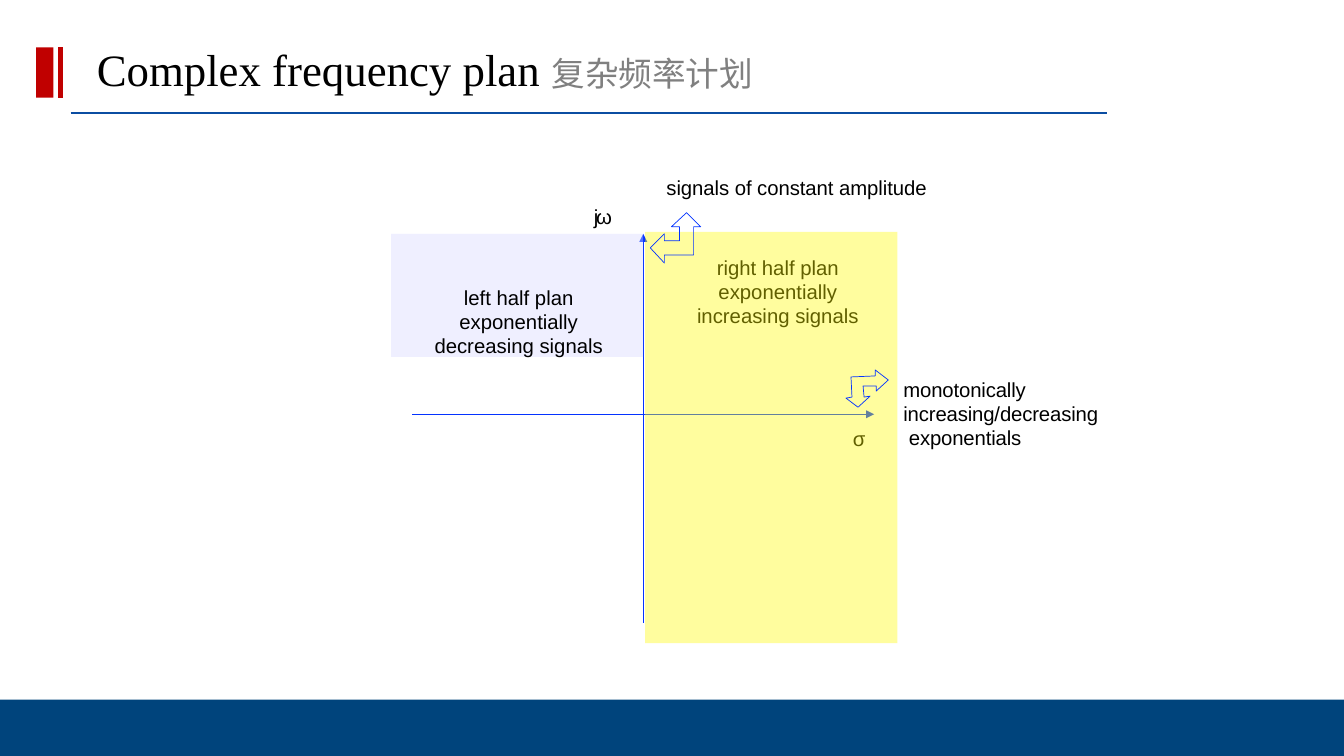
import pptx
import pptx.dml.color
import pptx.enum.shapes
import pptx.enum.text
import pptx.oxml.ns
import pptx.util
from dataclasses import dataclass
from lxml import etree

SCALE = 9144
ANCHOR = pptx.enum.text.MSO_ANCHOR
ALIGN = pptx.enum.text.PP_ALIGN


@dataclass(frozen=True)
class Theme:
    ink: str = "000000"
    muted: str = "808080"
    footer: str = "00447C"
    rule: str = "0B4DA2"
    accent: str = "C00000"
    axis: str = "0433FF"
    left_plane: str = "D6D7FF"
    right_plane: str = "FFFB00"
    plane_alpha: int = 38
    body_font: str = "Arial"
    title_font: str = "Times New Roman"
    subtitle_font: str = "Calibri"
    title_size: float = 32
    subtitle_size: float = 24
    body_size: float = 14.5
    leading: float = 17.2


THEME = Theme()


def px(value):
    return pptx.util.Emu(value * SCALE)


def rgb(value):
    return pptx.dml.color.RGBColor.from_string(value)


def apply(target, values):
    for name, value in values.items():
        setattr(target, name, value)


class Page:
    def __init__(self, deck, theme):
        self.theme = theme
        self.shapes = deck.slides.add_slide(deck.slide_layouts[6]).shapes

    def paint(self, shape, fill=None, alpha=None, line=None, width=0.5):
        shape.shadow.inherit = False
        if fill:
            shape.fill.solid()
            shape.fill.fore_color.rgb = rgb(fill)
            if alpha:
                color = shape._element.spPr.find(".//" + pptx.oxml.ns.qn("a:srgbClr"))
                etree.SubElement(color, pptx.oxml.ns.qn("a:alpha"), val=str(alpha * 1000))
        else:
            shape.fill.background()
        if line:
            shape.line.color.rgb = rgb(line)
            shape.line.width = pptx.util.Pt(width)
        else:
            shape.line.fill.background()
        return shape

    def rectangle(self, left, top, width, height, fill, alpha=None):
        kind = pptx.enum.shapes.MSO_SHAPE.RECTANGLE
        box = self.shapes.add_shape(kind, px(left), px(top), px(width), px(height))
        return self.paint(box, fill, alpha)

    def line(self, start, end, color, width):
        kind = pptx.enum.shapes.MSO_CONNECTOR.STRAIGHT
        connector = self.shapes.add_connector(kind, *map(px, start + end))
        connector.line.color.rgb = rgb(color)
        connector.line.width = pptx.util.Pt(width)
        etree.SubElement(connector._element.spPr, pptx.oxml.ns.qn("a:effectLst"))

    def outline(self, points, **style):
        builder = self.shapes.build_freeform(*points[0], scale=float(SCALE))
        builder.add_line_segments(points[1:], close=True)
        return self.paint(builder.convert_to_shape(), **style)

    def text_box(self, left, top, width, height, anchor=ANCHOR.TOP):
        box = self.shapes.add_textbox(px(left), px(top), px(width), px(height))
        self.frame(box, anchor=anchor)
        return box

    def frame(self, box, left=0, top=0, anchor=ANCHOR.TOP):
        apply(box.text_frame, {
            "word_wrap": True, "vertical_anchor": anchor,
            "margin_left": px(left), "margin_top": px(top),
            "margin_right": 0, "margin_bottom": 0,
        })

    def span(self, para, text, size, font, color, spacing=0):
        span = para.add_run()
        span.text = text
        apply(span.font, {"size": pptx.util.Pt(size), "name": font})
        span.font.color.rgb = rgb(color)
        if spacing:
            span._r.get_or_add_rPr().set("spc", str(spacing))

    def label(self, para, lines, spacing=0, indent=0, **values):
        apply(para, {"alignment": ALIGN.LEFT, **values})
        if indent:
            para._p.get_or_add_pPr().set("marL", str(px(indent)))
        theme = self.theme
        for number, text in enumerate(lines):
            if number:
                para.add_line_break()
            self.span(para, text, theme.body_size, theme.body_font, theme.ink, spacing)


def draw_header(page):
    theme = page.theme
    page.rectangle(0, 694, 1333, 56, theme.footer)
    page.line((70, 112), (1098, 112), theme.rule, 1.5)
    page.rectangle(36, 47, 17, 50, theme.accent)
    page.line((60, 47), (60, 97), theme.accent, 3)
    title = page.text_box(96, 40, 771, 55, ANCHOR.BOTTOM).text_frame.paragraphs[0]
    page.span(title, "Complex frequency plan ", theme.title_size, theme.title_font, theme.ink)
    page.span(title, "复杂频率计划", theme.subtitle_size, theme.subtitle_font, theme.muted)


def draw_plane(page):
    theme = page.theme
    leading = pptx.util.Pt(theme.leading)
    page.line((409, 411), (864, 411), theme.axis, 0.65)
    page.outline([(859, 407), (859, 415), (867, 411)], fill=theme.axis)
    page.line((638, 618), (638, 235), theme.axis, 0.65)
    page.outline([(638, 232), (634, 240), (642, 240)], fill=theme.axis)

    sigma = page.text_box(846, 423, 15, 26)
    page.label(sigma.text_frame.paragraphs[0], ["σ"])

    left_half = page.rectangle(388, 232, 250, 122, theme.left_plane, theme.plane_alpha)
    page.frame(left_half, left=3, top=51)
    page.label(left_half.text_frame.paragraphs[0],
               ["left half plan", "exponentially", "decreasing signals"],
               alignment=ALIGN.CENTER, line_spacing=leading)

    right_half = page.text_box(680, 253, 183, 74)
    page.label(right_half.text_frame.paragraphs[0],
               ["right half plan", "exponentially", "increasing signals"],
               alignment=ALIGN.CENTER, line_spacing=leading)
    page.rectangle(640, 230, 250, 408, theme.right_plane, theme.plane_alpha)


def draw_callouts(page):
    theme = page.theme
    constant = page.text_box(589, 174, 350, 52).text_frame
    page.label(constant.paragraphs[0], ["signals of constant amplitude"],
               spacing=-5, indent=72)
    page.label(constant.add_paragraph(), ["jω"], spacing=-160,
               space_before=pptx.util.Pt(3.1))

    upper_arrow = [(681, 211), (666, 225), (674, 225), (674, 239), (659, 239),
                   (659, 232), (645, 246), (659, 261), (659, 253), (688, 253),
                   (688, 225), (695, 225)]
    lower_arrow = [(851, 404), (863, 393), (857, 394), (856, 383), (869, 383),
                   (869, 388), (881, 377), (868, 367), (868, 373), (844, 374),
                   (845, 394), (839, 395)]
    for points in (upper_arrow, lower_arrow):
        page.outline(points, line=theme.axis)

    monotonic = page.text_box(896, 374, 215, 74)
    page.label(monotonic.text_frame.paragraphs[0],
               ["monotonically", "increasing/decreasing", " exponentials"],
               spacing=-10, line_spacing=pptx.util.Pt(theme.leading))


def main():
    deck = pptx.Presentation()
    apply(deck, {"slide_width": px(1333), "slide_height": px(750)})
    page = Page(deck, THEME)
    draw_header(page)
    draw_plane(page)
    draw_callouts(page)
    deck.save("out.pptx")


if __name__ == "__main__":
    main()
